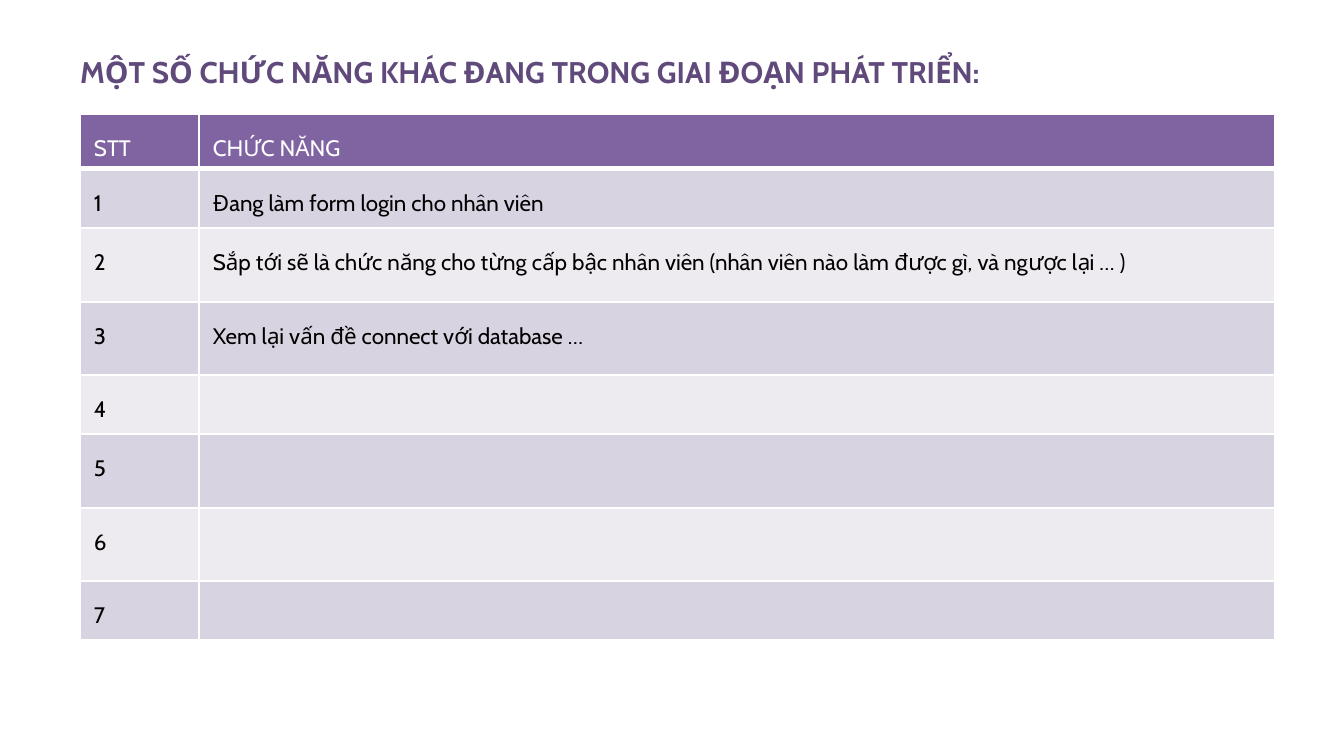
"""Build a slide listing the functions still under development."""
from dataclasses import dataclass

from lxml.etree import SubElement
from pptx import Presentation
from pptx.dml.color import RGBColor
from pptx.enum.text import MSO_ANCHOR, PP_ALIGN
from pptx.oxml.ns import qn
from pptx.slide import Slide
from pptx.table import _Cell
from pptx.text.text import TextFrame
from pptx.util import Emu, Pt

PX_PER_INCH = 134.4


@dataclass(frozen=True)
class Theme:
    font: str = "Cabin"
    title_size: int = 16
    body_size: int = 12
    title: str = "604A7B"
    header: str = "8064A2"
    bands: tuple[str, str] = ("D8D3E0", "EDEAF0")
    dark: str = "000000"
    light: str = "FFFFFF"
    line_width: int = 1
    header_line_width: int = 3
    line_spacing: float = 1.5


@dataclass(frozen=True)
class Row:
    height: int
    number: str
    function: str = ""


THEME = Theme()
TITLE = "MỘT SỐ CHỨC NĂNG KHÁC ĐANG TRONG GIAI ĐOẠN PHÁT TRIỂN:"
COLUMN_WIDTHS = (119, 1076)
ROWS = (
    Row(55, "STT", "CHỨC NĂNG"),
    Row(59, "1", "Đang làm form login cho nhân viên"),
    Row(74, "2", "Sắp tới sẽ là chức năng cho từng cấp bậc nhân viên "
                 "(nhân viên nào làm được gì, và ngược lại … )"),
    Row(73, "3", "Xem lại vấn đề connect với database …"),
    Row(59, "4"),
    Row(74, "5"),
    Row(73, "6"),
    Row(59, "7"),
)


def px(n: float) -> Emu:
    """Turn pixels into EMU."""
    return Emu(round(n * 914400 / PX_PER_INCH))


def write(tf: TextFrame, text: str, size: int, color: str, bold: bool = False) -> None:
    """Write one justified paragraph into a text frame."""
    p = tf.paragraphs[0]
    p.alignment = PP_ALIGN.JUSTIFY
    p.line_spacing = THEME.line_spacing
    r = p.add_run()
    r.text = text
    r.font.name = THEME.font
    r.font.size = Pt(size)
    r.font.bold = bold
    r.font.color.rgb = RGBColor.from_string(color)


def style_cell(cell: _Cell, fill: str, bottom: int) -> None:
    """Give a cell its margins, borders and fill."""
    cell.margin_left = cell.margin_right = px(14)
    cell.margin_top = cell.margin_bottom = px(7)
    tc_pr = cell._tc.get_or_add_tcPr()
    for side in "LRTB":
        width = bottom if side == "B" else THEME.line_width
        ln = SubElement(tc_pr, qn(f"a:ln{side}"), w=str(Pt(width)))
        solid = SubElement(ln, qn("a:solidFill"))
        SubElement(solid, qn("a:srgbClr"), val=THEME.light)
    cell.fill.solid()
    cell.fill.fore_color.rgb = RGBColor.from_string(fill)


def add_title(s: Slide) -> None:
    """Add the slide heading."""
    tf = s.shapes.add_textbox(px(67), px(0), px(1210), px(126)).text_frame
    tf.word_wrap = True
    tf.vertical_anchor = MSO_ANCHOR.MIDDLE
    write(tf, TITLE, THEME.title_size, THEME.title, bold=True)


def add_functions(s: Slide) -> None:
    """Add the table of functions."""
    height = sum(row.height for row in ROWS)
    table = s.shapes.add_table(len(ROWS), len(COLUMN_WIDTHS), px(80), px(114),
                               px(sum(COLUMN_WIDTHS)), px(height)).table
    table.first_row = table.horz_banding = False
    for column, width in zip(table.columns, COLUMN_WIDTHS):
        column.width = px(width)
    for i, row in enumerate(ROWS):
        table.rows[i].height = px(row.height)
        is_header = i == 0
        fill = THEME.header if is_header else THEME.bands[(i - 1) % 2]
        color = THEME.light if is_header else THEME.dark
        bottom = THEME.header_line_width if is_header else THEME.line_width
        for j, text in enumerate((row.number, row.function)):
            cell = table.cell(i, j)
            style_cell(cell, fill, bottom)
            if text:
                write(cell.text_frame, text, THEME.body_size, color)


def main() -> None:
    """Build and save the presentation."""
    prs = Presentation()
    prs.slide_width, prs.slide_height = px(1344), px(756)
    s = prs.slides.add_slide(prs.slide_layouts[6])
    add_title(s)
    add_functions(s)
    prs.save("out.pptx")


main()
